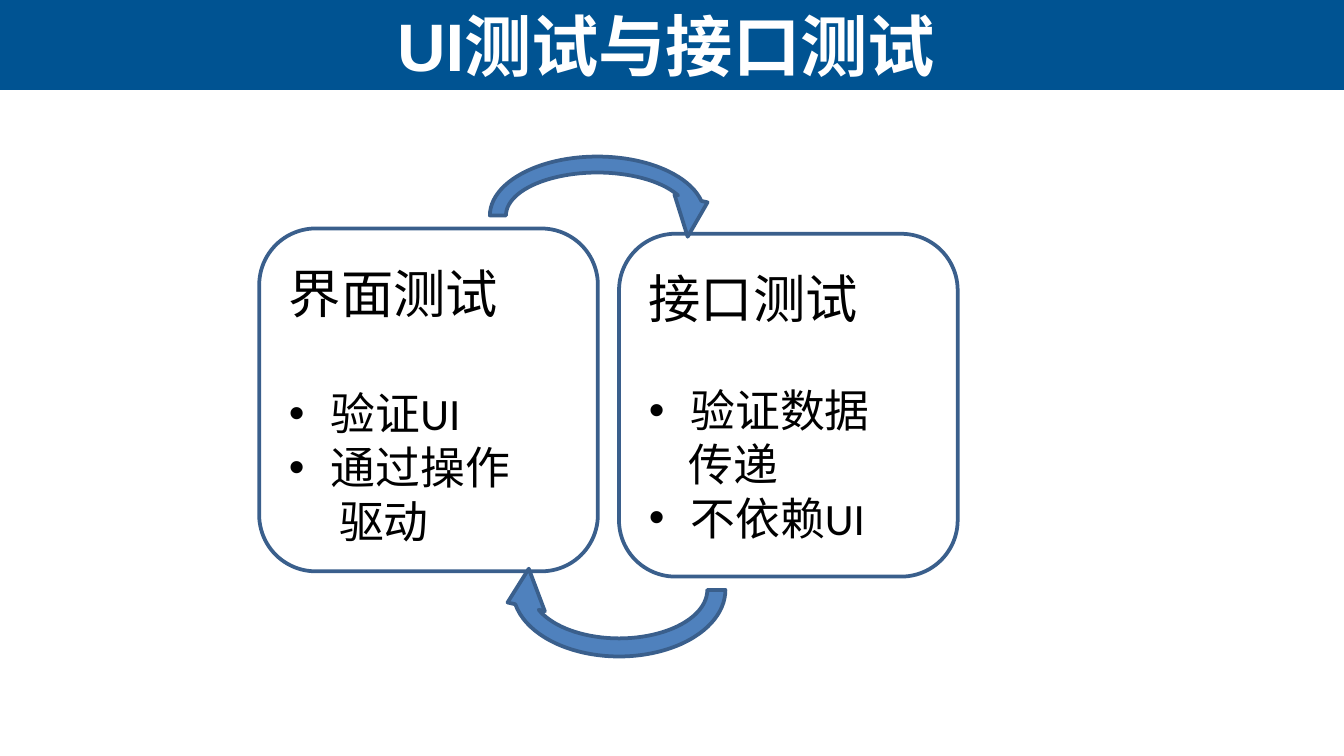
from lxml.etree import SubElement
from pptx import Presentation
from pptx.dml.color import RGBColor
from pptx.enum.shapes import MSO_SHAPE
from pptx.enum.text import MSO_ANCHOR, PP_ALIGN
from pptx.oxml.ns import qn
from pptx.util import Cm, Pt

COLORS = {"band": "005392", "white": "FFFFFF", "text": "000000",
          "arrow": "4F81BD", "outline": "3A5F8C"}
HANG = 0.79
ARROW_CURVE = (0.118, 14.139, 209.801, 108, 0.125)


def color(name):
    """Return the palette colour called name."""
    return RGBColor.from_string(COLORS[name])


def write(paragraph, text, size=24, font="Calibri", ink="text", bold=False,
          align=PP_ALIGN.LEFT, before=0, indent=0, bullet=False):
    """Fill one paragraph; indent is its left margin in cm."""
    paragraph.alignment = align
    paragraph.space_before = Pt(before)
    run = paragraph.add_run()
    run.text = text
    run.font.size = Pt(size)
    run.font.name = font
    run.font.bold = bold
    run.font.color.rgb = color(ink)
    props = paragraph._p.get_or_add_pPr()
    props.set("marL", str(Cm(indent)))
    props.set("indent", str(-Cm(indent) if bullet else 0))
    if bullet:
        SubElement(props, qn("a:buFont")).set("typeface", "Arial")
        SubElement(props, qn("a:buChar")).set("char", "•")


def add_block(slide, kind, box, fill, outline=None):
    """Add a flat preset shape in box (left, top, width, height in cm)."""
    block = slide.shapes.add_shape(kind, *map(Cm, box))
    block.shadow.inherit = False
    block.fill.solid()
    block.fill.fore_color.rgb = color(fill)
    if outline:
        block.line.color.rgb = color(outline)
        block.line.width = Pt(2)
    else:
        block.line.fill.background()
    return block


def add_header(slide, box, text):
    """Place the coloured band with the slide title on it."""
    left, top, width, height = box
    band = add_block(slide, MSO_SHAPE.RECTANGLE, box, "band")
    title = slide.shapes.title
    title.element.addprevious(band.element)
    title.left, title.top = Cm(left + 0.05), Cm(top)
    title.width, title.height = Cm(width - 0.33), Cm(height)
    title.text_frame.vertical_anchor = MSO_ANCHOR.MIDDLE
    write(title.text_frame.paragraphs[0], text, size=36, font="Arial",
          ink="white", bold=True, align=PP_ALIGN.CENTER)


def add_card(slide, box, heading, lines, gap, top_inset=0.13):
    """Place a rounded card; lines are (text, indent, bullet), gap in points."""
    card = add_block(slide, MSO_SHAPE.ROUNDED_RECTANGLE, box, "white", "outline")
    frame = card.text_frame
    frame.word_wrap = True
    frame.vertical_anchor = MSO_ANCHOR.MIDDLE
    frame.margin_top = Cm(top_inset)
    write(frame.paragraphs[0], heading, size=28)
    for row, (text, indent, bullet) in enumerate(lines):
        write(frame.add_paragraph(), text, indent=indent, bullet=bullet,
              before=0 if row else gap)


def add_arrow(slide, box, rotation=0):
    """Place a curved arrow that links the two cards."""
    arrow = add_block(slide, MSO_SHAPE.CIRCULAR_ARROW, box, "arrow", "outline")
    for index, value in enumerate(ARROW_CURVE):
        arrow.adjustments[index] = value
    arrow.rotation = rotation


def build_comparison(prs):
    """Build the slide comparing UI tests with interface tests."""
    slide = prs.slides.add_slide(prs.slide_layouts[5])
    add_header(slide, (0, 0, 25.4, 1.7), "UI测试与接口测试")
    add_card(slide, (4.9, 4.32, 6.4, 6.48), "界面测试",
             [("验证UI", HANG, True), ("通过操作", HANG, True),
              ("驱动", 0.95, False)], gap=33, top_inset=0.3)
    add_card(slide, (11.7, 4.42, 6.4, 6.48), "接口测试",
             [("验证数据", HANG, True), ("传递", 0.76, False),
              ("不依赖UI", HANG, True)], gap=29)
    add_arrow(slide, (9.09, 2.79, 4.4, 2.57))
    add_arrow(slide, (9.5, 9.7, 4.4, 2.9), rotation=180)


prs = Presentation()
prs.slide_width, prs.slide_height = Cm(25.4), Cm(14.29)
build_comparison(prs)
prs.save("out.pptx")
